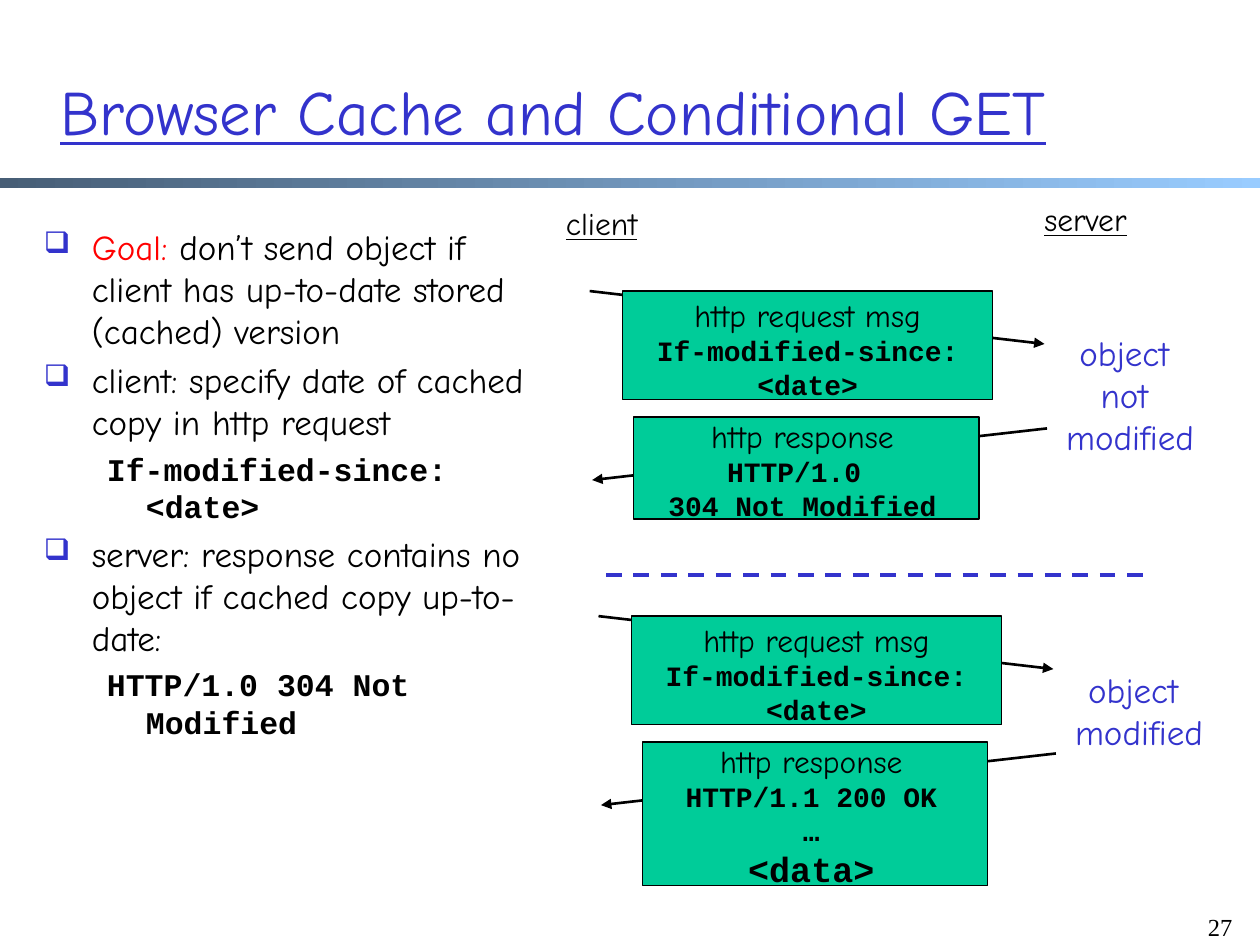
from pptx import Presentation
from pptx.dml.color import RGBColor
from pptx.enum.dml import MSO_LINE
from pptx.enum.shapes import MSO_CONNECTOR, MSO_SHAPE
from pptx.enum.text import MSO_ANCHOR, MSO_AUTO_SIZE, PP_ALIGN
from pptx.oxml.ns import qn
from pptx.util import Inches, Pt
from lxml.etree import SubElement

BLACK = RGBColor(0x00, 0x00, 0x00)
BLUE = RGBColor(0x33, 0x33, 0xCC)
RED = RGBColor(0xFF, 0x00, 0x00)
GREEN = RGBColor(0x00, 0xCC, 0x99)
SLATE = RGBColor(0x47, 0x5E, 0x76)
SKY = RGBColor(0x99, 0xCC, 0xFF)
SANS, MONO, SERIF = "Comic Neue", "Courier New", "Times New Roman"


def write(frame, text, size=18, font=SANS, color=BLACK, bold=False,
          under=False, align=PP_ALIGN.CENTER, join=False):
    """Add text as a new paragraph, or to the last one if join is set."""
    para = frame.paragraphs[-1]
    if para.runs and not join:
        para = frame.add_paragraph()
    para.alignment = align
    run = para.add_run()
    run.text = text
    face = run.font
    face.name, face.size, face.bold, face.underline = font, Pt(size), bold, under
    face.color.rgb = color
    return para


def add_box(slide, left, top, width, height, wrap=True):
    box = slide.shapes.add_textbox(
        Inches(left), Inches(top), Inches(width), Inches(height))
    box.text_frame.word_wrap = wrap
    return box.text_frame


def add_line(slide, x1, y1, x2, y2, color=BLACK, width=1.5, arrow=True):
    line = slide.shapes.add_connector(
        MSO_CONNECTOR.STRAIGHT, Inches(x1), Inches(y1), Inches(x2), Inches(y2))
    line.line.color.rgb = color
    line.line.width = Pt(width)
    if arrow:
        SubElement(line.line._get_or_add_ln(), qn("a:tailEnd"), type="triangle")
    SubElement(line._element.spPr, qn("a:effectLst"))
    return line


def add_title(slide, left, top, width, height):
    title = slide.shapes.title
    title.left, title.top = Inches(left), Inches(top)
    title.width, title.height = Inches(width), Inches(height)
    frame = title.text_frame
    frame.auto_size = MSO_AUTO_SIZE.NONE
    frame.vertical_anchor = MSO_ANCHOR.MIDDLE
    write(frame, "Browser Cache and Conditional GET", size=36, color=BLUE,
          under=True, align=PP_ALIGN.LEFT)


def add_band(slide, left, top, width, height):
    band = slide.shapes.add_shape(
        MSO_SHAPE.RECTANGLE, Inches(left), Inches(top), Inches(width), Inches(height))
    band.shadow.inherit = False
    band.line.fill.background()
    band.fill.gradient()
    band.fill.gradient_angle = 0
    for stop, color, place in zip(band.fill.gradient_stops, (SLATE, SKY), (0, 1)):
        stop.color.rgb = color
        stop.position = place


def indent(para, left, first, mark=None):
    props = para._p.get_or_add_pPr()
    para.space_before = Pt(4)
    props.set("marL", str(Inches(left)))
    props.set("indent", str(Inches(first)))
    if mark:
        tint = SubElement(props, qn("a:buClr"))
        SubElement(tint, qn("a:srgbClr"), val=str(BLUE))
        SubElement(props, qn("a:buSzPct"), val="85000")
        SubElement(props, qn("a:buChar"), char=mark)


def add_points(slide, left, top, width, height):
    frame = add_box(slide, left, top, width, height)

    def point(text, color=BLACK):
        para = write(frame, text, size=20, color=color, align=PP_ALIGN.LEFT)
        indent(para, 0.38, -0.38, "❑")

    def code(text):
        para = write(frame, text, font=MONO, bold=True, align=PP_ALIGN.LEFT)
        indent(para, 0.81, -0.31)

    point("Goal:", RED)
    write(frame, " don’t send object if client has up-to-date stored (cached) version",
          size=20, align=PP_ALIGN.LEFT, join=True)
    point("client: specify date of cached copy in http request")
    code("If-modified-since: <date>")
    point("server: response contains no object if cached copy up-to-date:")
    code("HTTP/1.0 304 Not Modified")


def add_msg(slide, left, top, width, height, head, codes, inset=0.04, right=0.1):
    box = slide.shapes.add_shape(
        MSO_SHAPE.RECTANGLE, Inches(left), Inches(top), Inches(width), Inches(height))
    box.shadow.inherit = False
    box.fill.solid()
    box.fill.fore_color.rgb = GREEN
    box.line.color.rgb = BLACK
    box.line.width = Pt(0.75)
    frame = box.text_frame
    frame.word_wrap = True
    frame.vertical_anchor = MSO_ANCHOR.TOP
    frame.margin_top, frame.margin_right = Inches(inset), Inches(right)
    write(frame, head)
    for text, size in codes:
        write(frame, text, size=size, font=MONO, bold=True)


def add_trade(slide, left, top, reply, deep, state, drop, tall):
    """Place one request, its reply of height deep, and the object's state."""
    # Request
    add_line(slide, left, top, left + 3.61, top + 0.42)
    add_msg(slide, left + 0.26, top, 2.94, 0.86, "http request msg",
            [("If-modified-since: <date>", 16)])
    # Reply
    add_line(slide, left + 3.63, top + 1.09, left + 0.02, top + 1.5)
    add_msg(slide, left + 0.35, top + 1, 2.74, deep, "http response", reply,
            inset=0, right=0.16)
    # State of the object
    frame = add_box(slide, left + 3.62, top + drop, 1.34, tall, wrap=False)
    for text in state:
        write(frame, text, size=20, color=BLUE)


def main():
    deck = Presentation()
    deck.slide_width, deck.slide_height = Inches(10), Inches(7.5)
    slide = deck.slides.add_slide(deck.slide_layouts[5])

    add_band(slide, 0, 1.41, 10, 0.08)
    add_title(slide, 0.38, 0.25, 9.02, 1.25)
    add_points(slide, 0.25, 1.74, 4.25, 4.71)

    # Column heads
    for text, left, top, width in (("client", 4.24, 1.57, 1.07),
                                   ("server", 8.01, 1.54, 1.21)):
        write(add_box(slide, left, top, width, 0.5, wrap=False), text, under=True)

    # The two cases and the rule between them
    add_trade(slide, 4.68, 2.31, [("HTTP/1.0 ", 16), ("304 Not Modified", 16)], 0.81,
              ["object ", "not ", "modified"], 0.27, 1.1)
    rule = add_line(slide, 4.81, 4.56, 9.08, 4.56, BLUE, 2.25, arrow=False)
    rule.line.dash_style = MSO_LINE.DASH
    add_trade(slide, 4.75, 4.89, [("HTTP/1.1 200 OK", 16), ("…", 16), ("<data>", 20)],
              1.14, ["object ", "modified"], 0.37, 0.77)

    # Slide number
    write(add_box(slide, 9.38, 7.19, 0.5, 0.3), "27", size=14, font=SERIF,
          align=PP_ALIGN.RIGHT)
    deck.save("out.pptx")


if __name__ == "__main__":
    main()
